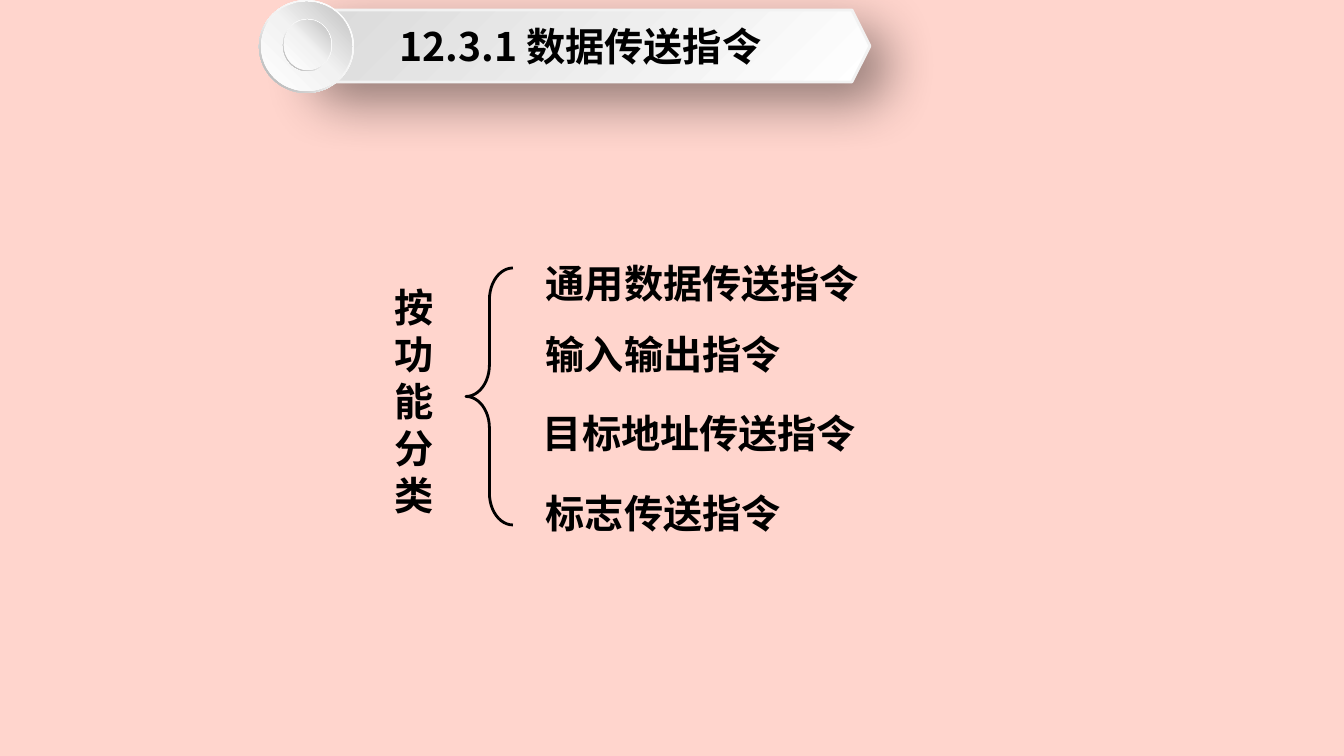
from lxml.etree import SubElement
from pptx import Presentation
from pptx.dml.color import RGBColor
from pptx.enum.shapes import MSO_SHAPE
from pptx.enum.text import MSO_ANCHOR, MSO_AUTO_SIZE, PP_ALIGN
from pptx.oxml import parse_xml
from pptx.oxml.ns import nsdecls, qn
from pptx.util import Pt

PX = 914400 / 100.8
CJK = "Noto Sans CJK SC"


def add_run(p, text, font):
    r = p.add_run()
    r.text = text
    r.font.name = font
    r.font.size = Pt(28)
    r.font.bold = True
    r.font.color.rgb = RGBColor.from_string("000000")
    SubElement(r.font._element, qn("a:ea"), typeface=CJK)


def add_gradient_shape(kind, box, stops, angle):
    """Angle is in degrees, clockwise from left-to-right."""
    sp = s.shapes.add_shape(kind, *[round(v * PX) for v in box])
    sp.shadow.inherit = False
    sp.line.fill.background()
    gs = "".join(f'<a:gs pos="{pos * 1000}"><a:srgbClr val="{c}"/></a:gs>'
                 for pos, c in stops)
    sp._element.spPr.find(qn("a:prstGeom")).addnext(parse_xml(
        f'<a:gradFill {nsdecls("a")} rotWithShape="1"><a:gsLst>{gs}</a:gsLst>'
        f'<a:lin ang="{angle * 60000}" scaled="0"/></a:gradFill>'))
    return sp


prs = Presentation()
prs.slide_width = round(1344 * PX)
prs.slide_height = round(756 * PX)
s = prs.slides.add_slide(prs.slide_layouts[5])
s.background.fill.solid()
s.background.fill.fore_color.rgb = RGBColor.from_string("FFD5CD")

# Title banner
banner_box = (291, 10, 579, 72)
banner = add_gradient_shape(MSO_SHAPE.HEXAGON, banner_box,
                            [(0, "FFFFFF"), (100, "D9D9D9")], 225)
banner.line.color.rgb = RGBColor.from_string("F2F2F2")
banner.line.width = Pt(2)
banner._element.spPr.find(qn("a:effectLst")).append(parse_xml(
    f'<a:outerShdw {nsdecls("a")} blurRad="{Pt(38)}" dist="{Pt(19)}" '
    'dir="2700000" algn="tl" rotWithShape="0"><a:srgbClr val="000000">'
    '<a:alpha val="42000"/></a:srgbClr></a:outerShdw>'))

# Round knob: a ring and a disc, twice
for ring_box, disc_box in [((259, 0, 95, 93), (261, 2, 91, 89)),
                           ((283, 19, 49, 52), (284, 20, 47, 50))]:
    ring = add_gradient_shape(MSO_SHAPE.DONUT, ring_box,
                              [(0, "FFFFFF"), (55, "F2F2F2"), (100, "A6A6A6")], 135)
    ring.adjustments[0] = 0.05
    add_gradient_shape(MSO_SHAPE.OVAL, disc_box,
                       [(0, "FFFFFF"), (51, "F2F2F2"), (100, "BFBFBF")], 315)

title = s.shapes.title
title.left, title.top, title.width, title.height = [round(v * PX) for v in banner_box]
s.shapes._spTree.append(title._element)  # in front of the banner
tf = title.text_frame
tf.auto_size = MSO_AUTO_SIZE.NONE
tf.vertical_anchor = MSO_ANCHOR.MIDDLE
p = tf.paragraphs[0]
p.alignment = PP_ALIGN.CENTER
add_run(p, "12.3.1 数据传送指令", CJK)

# Classification: heading, brace, four kinds
for text, x, y, w, h, wrap in [
    ("按功能分类", 385, 278, 49, 227, True),
    ("通用数据传送指令", 536, 254, 334, 53, False),
    ("输入输出指令", 536, 325, 255, 53, False),
    ("目标地址传送指令", 533, 404, 334, 53, False),
    ("标志传送指令", 536, 484, 255, 53, False),
]:
    sp = s.shapes.add_textbox(*[round(v * PX) for v in (x, y, w, h)])
    tf = sp.text_frame
    tf.word_wrap = wrap
    tf.auto_size = MSO_AUTO_SIZE.SHAPE_TO_FIT_TEXT
    add_run(tf.paragraphs[0], text, "Calibri")

brace = s.shapes.add_shape(MSO_SHAPE.LEFT_BRACE,
                           *[round(v * PX) for v in (466, 268, 47, 257)])
brace.shadow.inherit = False
brace.fill.background()
brace.line.color.rgb = RGBColor.from_string("000000")
brace.line.width = Pt(2)
brace.adjustments[0] = 0.675
brace.adjustments[1] = 0.5

prs.save("out.pptx")
